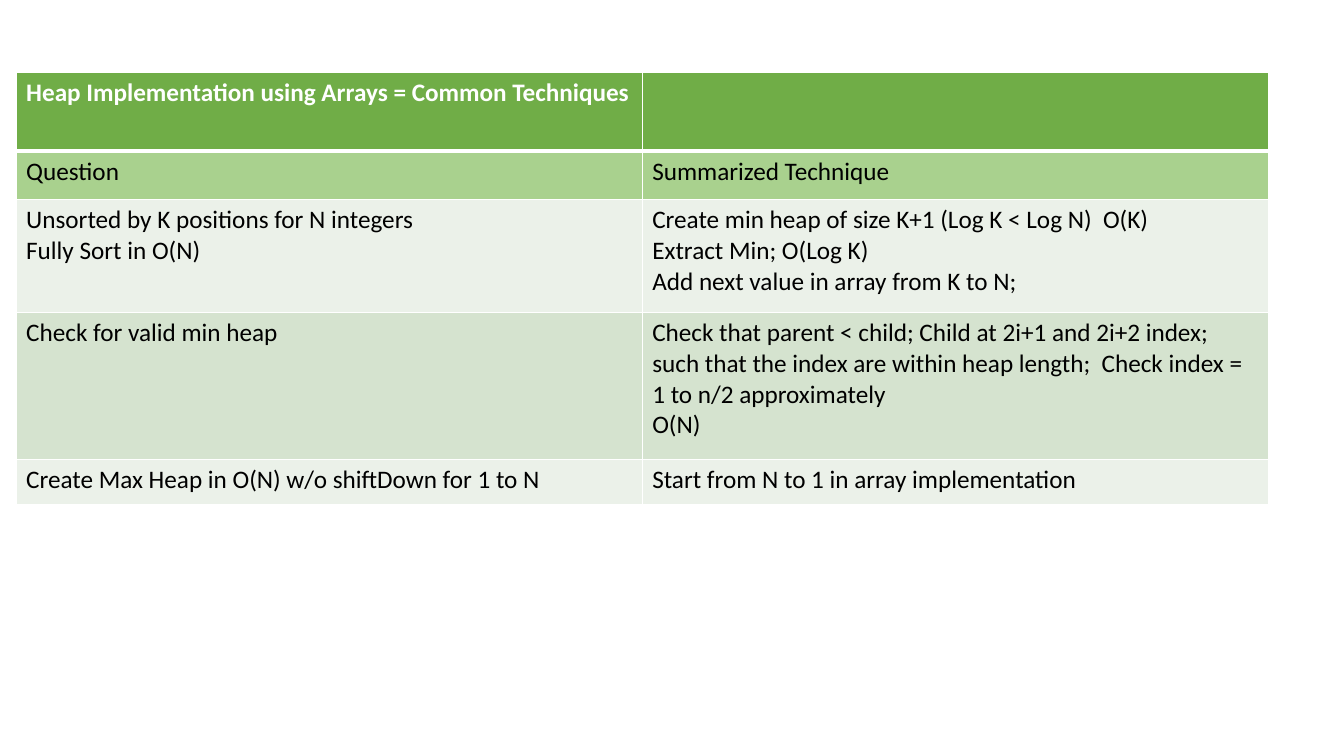
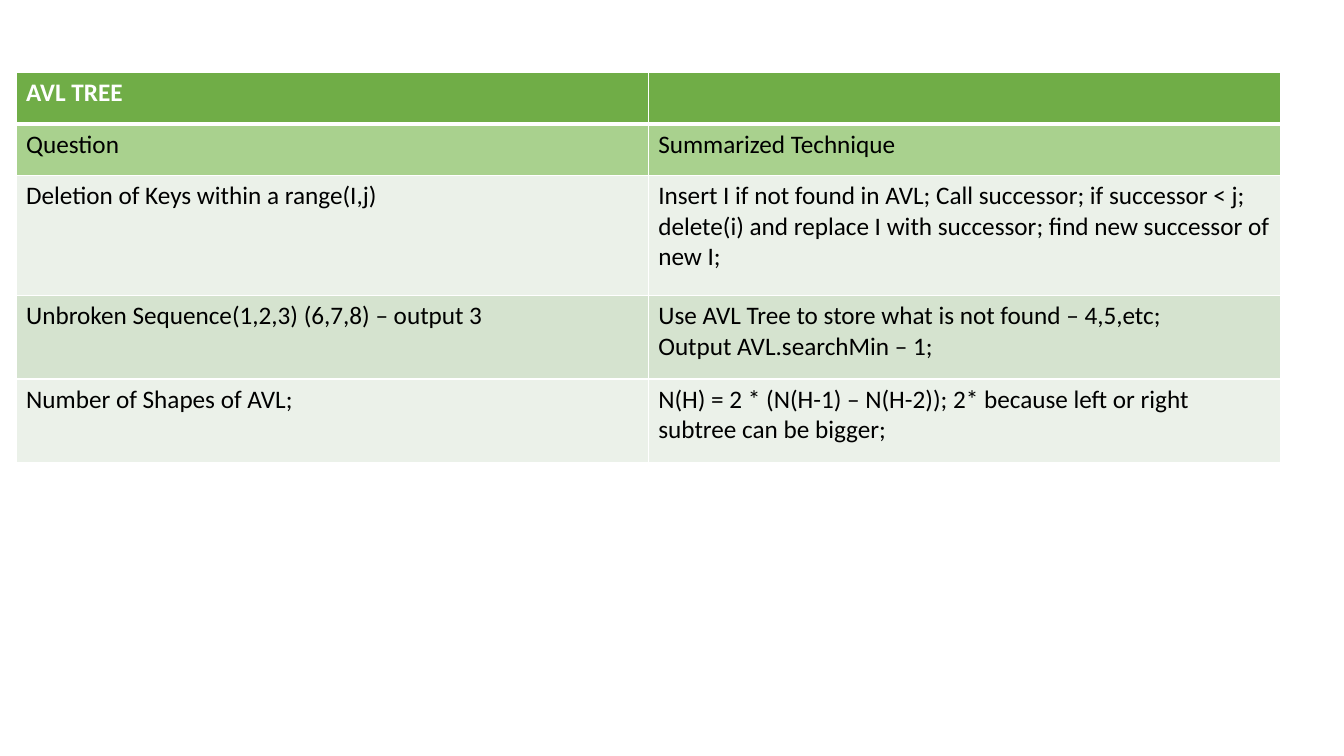
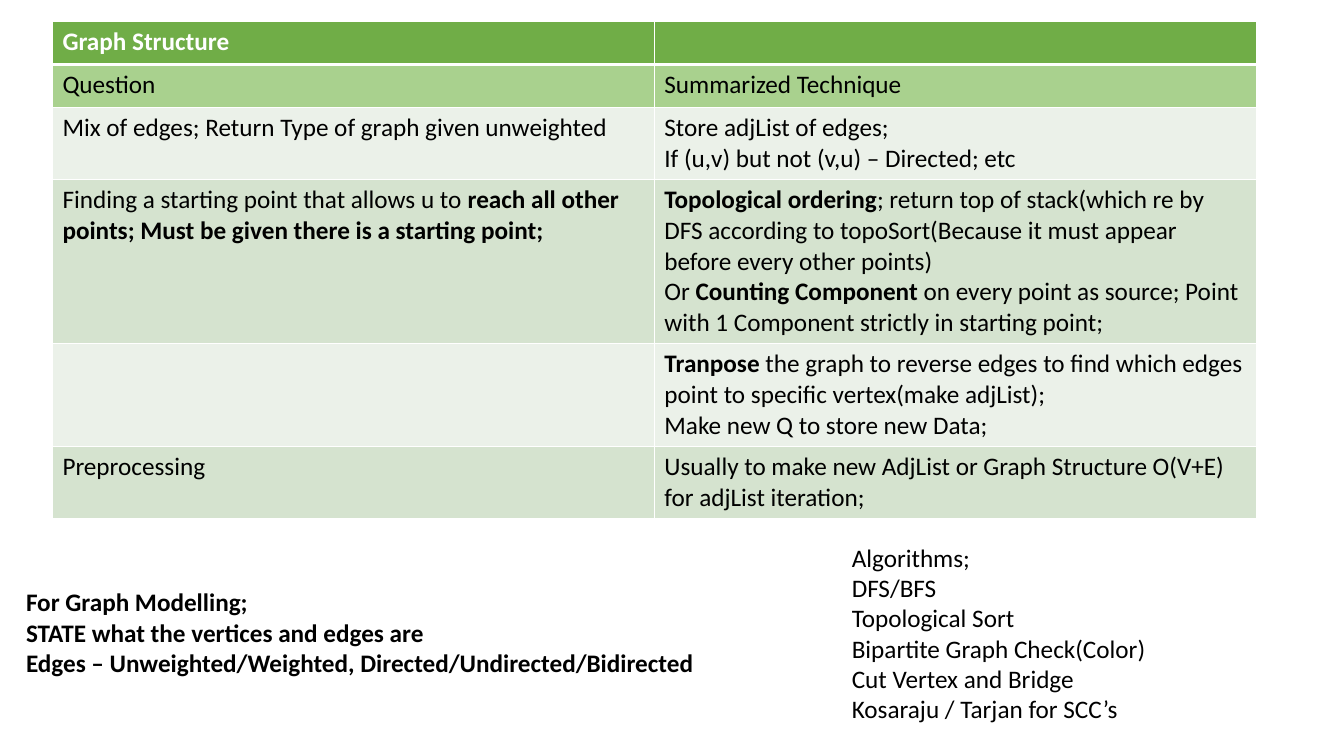
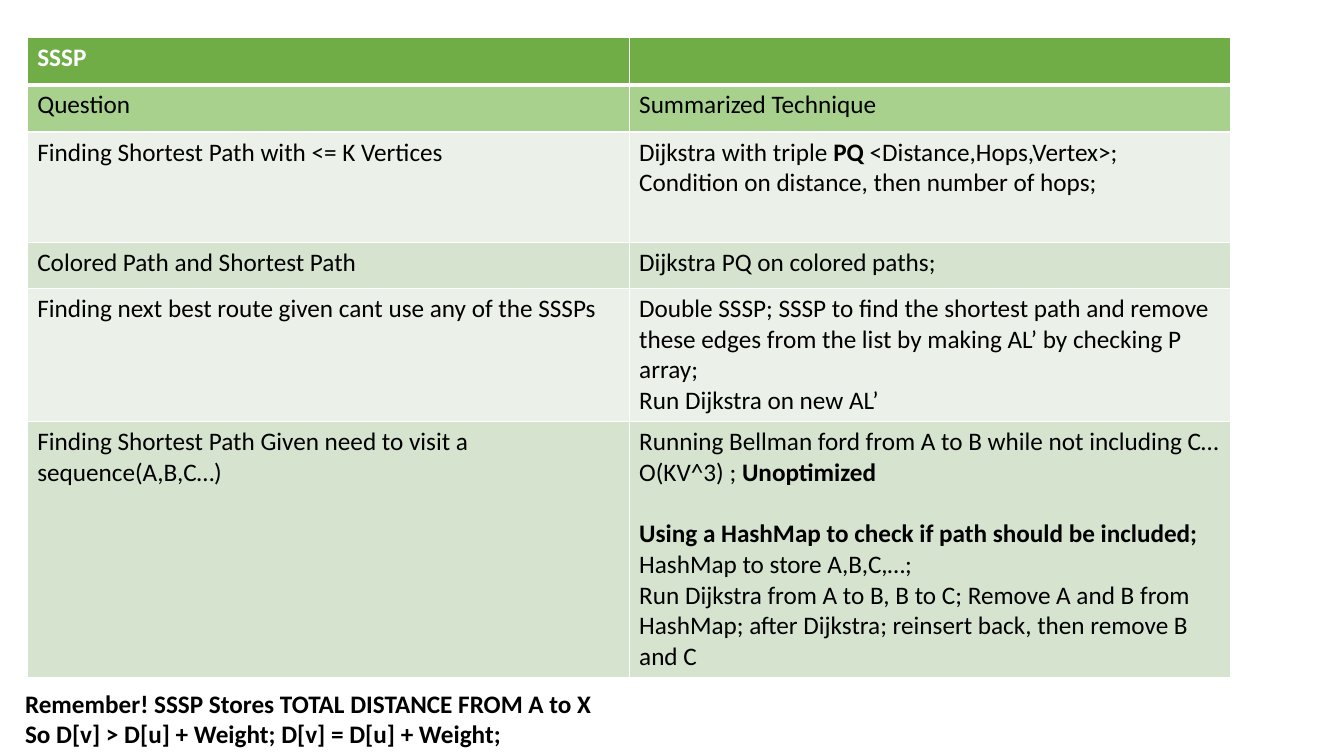
from dataclasses import dataclass

from lxml import etree
from pptx import Presentation
from pptx.dml.color import RGBColor
from pptx.enum.text import MSO_AUTO_SIZE
from pptx.oxml.ns import qn
from pptx.util import Inches, Pt

GROW = MSO_AUTO_SIZE.SHAPE_TO_FIT_TEXT


@dataclass(frozen=True)
class Theme:
    font: str = "Calibri"
    size: int = 18
    paragraph_gap: int = 22
    white: str = "FFFFFF"
    black: str = "000000"
    header: str = "70AD47"
    subheader: str = "A9D18E"
    bands: tuple = ("EBF1E9", "D5E3CF")
    border: int = 1
    header_border: int = 3


THEME = Theme()
BOLD = "**"
GAP_BEFORE = "\v"
COLUMN_TITLES = (["Question"], ["Summarized Technique"])

SLIDES = [
    {
        "title": "Heap Implementation using Arrays = Common Techniques",
        "position": (0.16, 0.72),
        "column_width": 6.21,
        "row_heights": [0.78, 0.48, 1.12, 1.46, 0.45],
        "rows": [
            (["Unsorted by K positions for N integers", "Fully Sort in O(N)"],
             ["Create min heap of size K+1 (Log K < Log N)  O(K)",
              "Extract Min; O(Log K)",
              "Add next value in array from K to N;"]),
            (["Check for valid min heap"],
             ["Check that parent < child; Child at 2i+1 and 2i+2 index; such that the index "
              "are within heap length;  Check index = 1 to n/2 approximately",
              "O(N)"]),
            (["Create Max Heap in O(N) w/o shiftDown for 1 to N"],
             ["Start from N to 1 in array implementation"]),
        ],
        "notes": [],
    },
    {
        "title": "AVL TREE",
        "position": (0.16, 0.72),
        "column_width": 6.27,
        "row_heights": [0.51, 0.51, 1.19, 0.83, 0.83],
        "rows": [
            (["Deletion of Keys within a range(I,j)"],
             ["Insert I if not found in AVL; Call successor; if successor < j; delete(i) and "
              "replace I with successor; find new successor of new I;"]),
            (["Unbroken Sequence(1,2,3) (6,7,8) – output 3"],
             ["Use AVL Tree to store what is not found – 4,5,etc;",
              "Output AVL.searchMin – 1;"]),
            (["Number of Shapes of AVL;"],
             ["N(H) = 2 * (N(H-1) – N(H-2)); 2* because left or right subtree can be bigger;"]),
        ],
        "notes": [],
    },
    {
        "title": "Graph Structure",
        "position": (0.52, 0.21),
        "column_width": 5.97,
        "row_heights": [0.43, 0.43, 0.7, 1.63, 1.02, 0.7],
        "rows": [
            (["Mix of edges; Return Type of graph given unweighted"],
             ["Store adjList of edges;", "If (u,v) but not (v,u) – Directed; etc"]),
            (["Finding a starting point that allows u to **reach all other points; "
              "Must be given there is a starting point;**"],
             ["**Topological ordering**; return top of stack(which re by DFS according to "
              "topoSort(Because it must appear before every other points)",
              "Or **Counting Component **on every point as source; Point with 1 Component "
              "strictly in starting point;"]),
            ([],
             ["**Tranpose** the graph to reverse edges to find which edges point to specific "
              "vertex(make adjList);",
              "Make new Q to store new Data;"]),
            (["Preprocessing"],
             ["Usually to make new AdjList or Graph Structure O(V+E) for adjList iteration;"]),
        ],
        "notes": [
            {"box": (0.16, 5.77, 7.44, 1.01), "wrap": True,
             "text": ["**For Graph Modelling;**",
                      "**STATE what the vertices and edges are**",
                      "**Edges – Unweighted/Weighted, Directed/Undirected/Bidirected**"]},
            {"box": (8.35, 5.33, 4.33, 1.92), "wrap": True,
             "text": ["Algorithms;", "DFS/BFS", "Topological Sort",
                      "Bipartite Graph Check(Color)", "Cut Vertex and Bridge",
                      "Kosaraju / Tarjan for SCC’s"]},
        ],
    },
    {
        "title": "SSSP",
        "position": (0.27, 0.37),
        "column_width": 5.97,
        "row_heights": [0.47, 0.47, 1.1, 0.45, 1.32, 2.54],
        "rows": [
            (["Finding Shortest Path with <= K Vertices"],
             ["Dijkstra with triple **PQ** <Distance,Hops,Vertex>; Condition on distance, "
              "then number of hops;"]),
            (["Colored Path and Shortest Path"], ["Dijkstra PQ on colored paths;"]),
            (["Finding next best route given cant use any of the SSSPs"],
             ["Double SSSP; SSSP to find the shortest path and remove these edges from the "
              "list by making AL’ by checking P array;",
              "Run Dijkstra on new AL’"]),
            (["Finding Shortest Path Given need to visit a sequence(A,B,C…)"],
             ["Running Bellman ford from A to B while not including C… O(KV^3) ; **Unoptimized**",
              GAP_BEFORE + "**Using a HashMap to check if path should be included;**",
              "HashMap to store A,B,C,…;",
              "Run Dijkstra from A to B, B to C; Remove A and B from HashMap; after Dijkstra; "
              "reinsert back, then remove B and C"]),
        ],
        "notes": [
            {"box": (0.15, 6.78, 5.87, 0.71), "wrap": False,
             "text": ["**Remember! SSSP Stores TOTAL DISTANCE FROM A to X**",
                      "**So D[v] > D[u] + Weight; D[v] = D[u] + Weight;**"]},
        ],
    },
]


def write_text(text_frame, lines, color=THEME.black):
    for index, line in enumerate(lines):
        paragraph = text_frame.paragraphs[0] if index == 0 else text_frame.add_paragraph()
        if line.startswith(GAP_BEFORE):
            paragraph.space_before = Pt(THEME.paragraph_gap)
        for part, text in enumerate(line.removeprefix(GAP_BEFORE).split(BOLD)):
            if not text:
                continue
            run = paragraph.add_run()
            run.text = text
            font_format = {"name": THEME.font, "size": Pt(THEME.size), "bold": part % 2 == 1}
            for name, value in font_format.items():
                setattr(run.font, name, value)
            run.font.color.rgb = RGBColor.from_string(color)


def set_borders(cell, top, bottom):
    properties = cell._tc.get_or_add_tcPr()
    widths = {"a:lnL": THEME.border, "a:lnR": THEME.border, "a:lnT": top, "a:lnB": bottom}
    for tag, width in widths.items():
        line = etree.SubElement(properties, qn(tag), w=str(Pt(width)))
        fill = etree.SubElement(line, qn("a:solidFill"))
        etree.SubElement(fill, qn("a:srgbClr"), val=THEME.white)


def add_technique_table(slide, content):
    heights = content["row_heights"]
    left, top = content["position"]
    width = content["column_width"]
    rows = [([f"**{content['title']}**"], []), COLUMN_TITLES, *content["rows"]]
    table = slide.shapes.add_table(
        len(rows), 2, Inches(left), Inches(top), Inches(2 * width), Inches(sum(heights))
    ).table
    table.horz_banding = False
    for column in table.columns:
        column.width = Inches(width)
    for index, (cells, height) in enumerate(zip(rows, heights)):
        table.rows[index].height = Inches(height)
        fill = (THEME.header, THEME.subheader)[index] if index < 2 else THEME.bands[index % 2]
        color = THEME.white if index == 0 else THEME.black
        top_border = THEME.header_border if index == 1 else THEME.border
        bottom_border = THEME.header_border if index == 0 else THEME.border
        for cell, lines in zip(table.rows[index].cells, cells):
            set_borders(cell, top_border, bottom_border)
            cell.fill.solid()
            cell.fill.fore_color.rgb = RGBColor.from_string(fill)
            write_text(cell.text_frame, lines, color)


def add_note(slide, note):
    text_frame = slide.shapes.add_textbox(*map(Inches, note["box"])).text_frame
    text_frame.word_wrap = note["wrap"]
    text_frame.auto_size = GROW
    write_text(text_frame, note["text"])


def main():
    presentation = Presentation()
    presentation.slide_width = Inches(13.33)
    presentation.slide_height = Inches(7.5)
    for content in SLIDES:
        slide = presentation.slides.add_slide(presentation.slide_layouts[6])
        add_technique_table(slide, content)
        for note in content["notes"]:
            add_note(slide, note)
    presentation.save("out.pptx")


if __name__ == "__main__":
    main()
